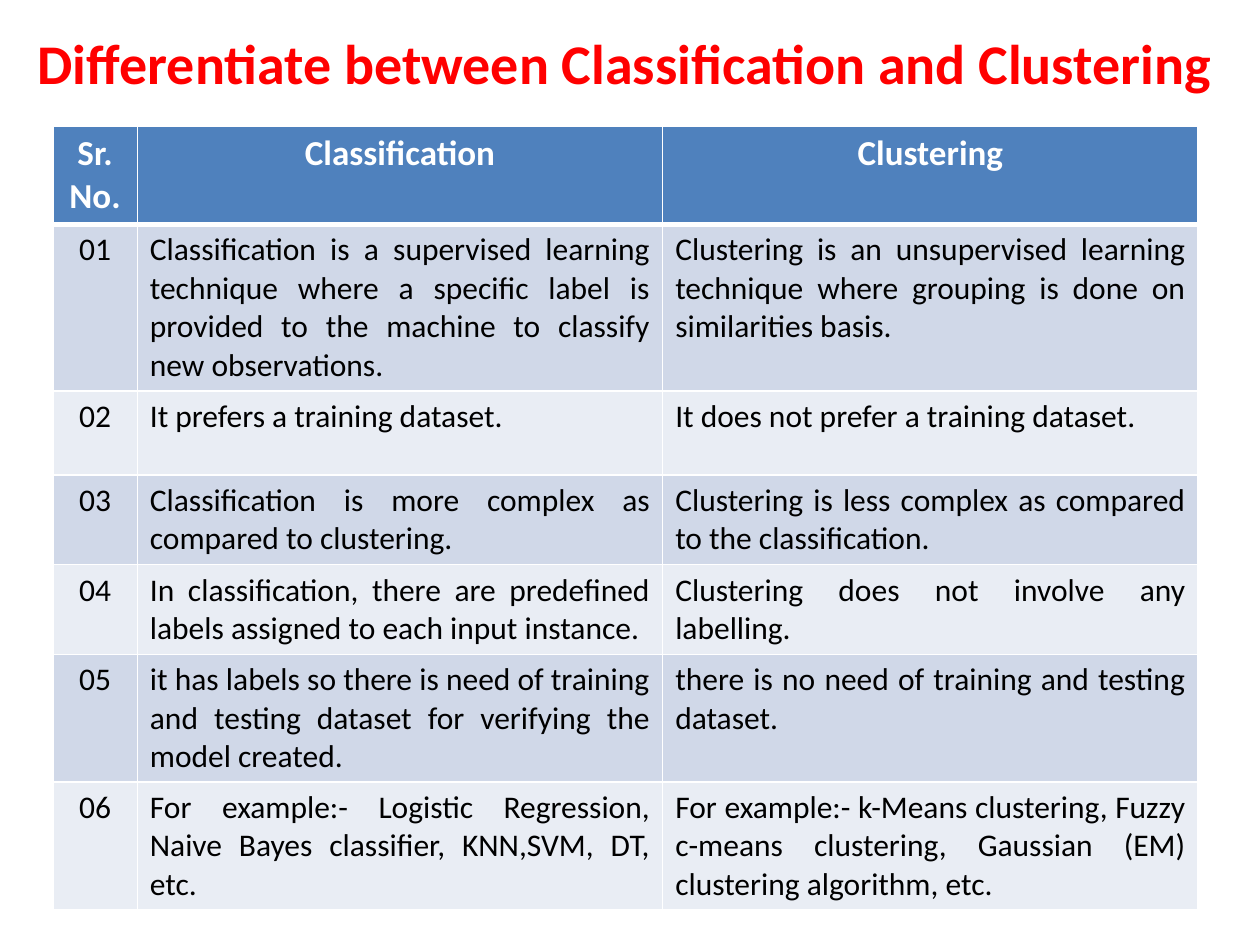
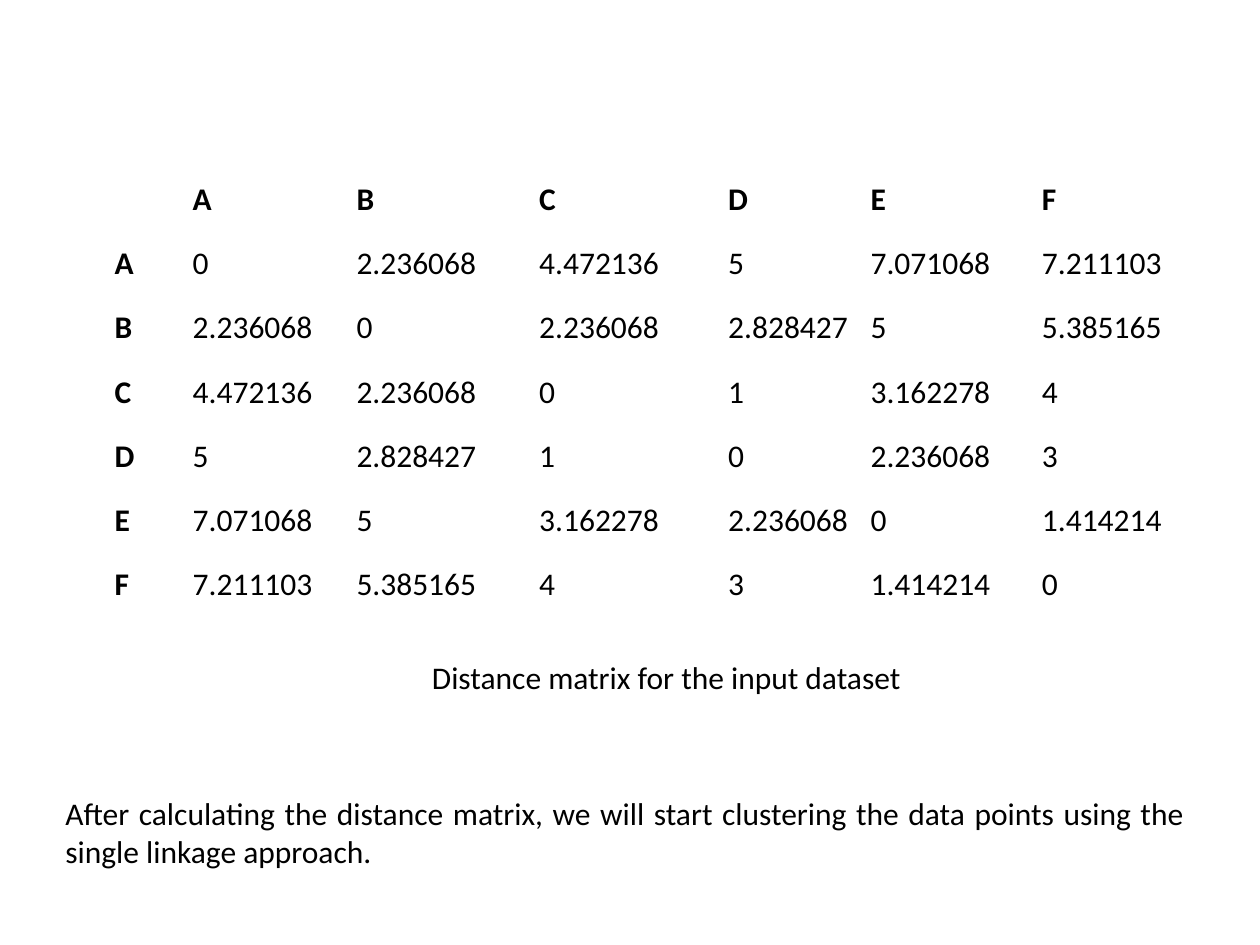
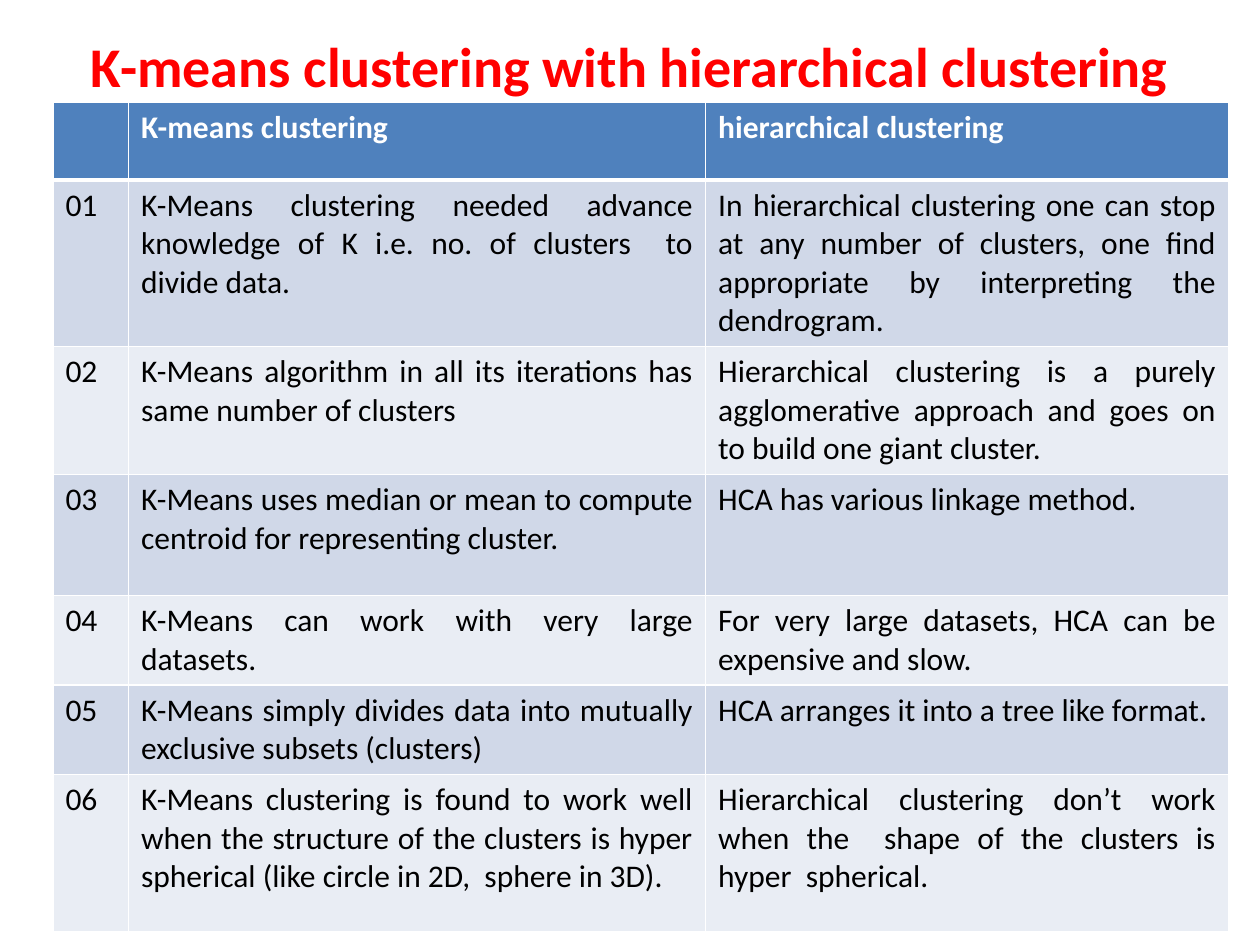
from lxml.etree import SubElement
from pptx import Presentation
from pptx.dml.color import RGBColor
from pptx.enum.text import MSO_ANCHOR as Anchor, MSO_AUTO_SIZE as AutoSize, PP_ALIGN as Align
from pptx.oxml.ns import qn
from pptx.util import Inches, Pt

RED = RGBColor(0xFF, 0x00, 0x00)
BLACK = RGBColor(0x00, 0x00, 0x00)
WHITE = RGBColor(0xFF, 0xFF, 0xFF)
HEADER_BLUE = RGBColor(0x4F, 0x81, 0xBD)
BAND_DARK = RGBColor(0xD0, 0xD8, 0xE8)
BAND_LIGHT = RGBColor(0xE9, 0xED, 0xF4)

CLASSIFICATION_ROWS = [
    ("Sr. No.", "Classification", "Clustering"),
    ("01",
     "Classification is a supervised learning technique where a specific label is provided "
     "to the machine to classify new observations.",
     "Clustering is an unsupervised learning technique where grouping is done on similarities basis."),
    ("02", "It prefers a training dataset.", "It does not prefer a training dataset."),
    ("03",
     "Classification is more complex as compared to clustering.",
     "Clustering is less complex as compared to the classification."),
    ("04",
     "In classification, there are predefined labels assigned to each input instance.",
     "Clustering does not involve any labelling."),
    ("05",
     "it has labels so there is need of training and testing dataset for verifying the model created.",
     "there is no need of training and testing dataset."),
    ("06",
     "For example:- Logistic Regression, Naive Bayes classifier, KNN,SVM, DT, etc.",
     "For example:- k-Means clustering, Fuzzy c-means clustering, Gaussian (EM) "
     "clustering algorithm, etc."),
]

POINTS = "ABCDEF"
DISTANCES = [
    ("0", "2.236068", "4.472136", "5", "7.071068", "7.211103"),
    ("2.236068", "0", "2.236068", "2.828427", "5", "5.385165"),
    ("4.472136", "2.236068", "0", "1", "3.162278", "4"),
    ("5", "2.828427", "1", "0", "2.236068", "3"),
    ("7.071068", "5", "3.162278", "2.236068", "0", "1.414214"),
    ("7.211103", "5.385165", "4", "3", "1.414214", "0"),
]

HIERARCHICAL_ROWS = [
    ("", "K-means clustering", "hierarchical clustering"),
    ("01",
     "K-Means clustering needed advance knowledge of K i.e. no. of clusters  to divide data.",
     "In hierarchical clustering one can stop at any number of clusters, one find appropriate "
     "by interpreting the dendrogram."),
    ("02",
     "K-Means algorithm in all its iterations has same number of clusters",
     "Hierarchical clustering is a purely agglomerative approach and goes on to build one giant cluster."),
    ("03",
     "K-Means uses median or mean to compute centroid for representing cluster.",
     "HCA has various linkage method."),
    ("04",
     "K-Means can work with very large datasets.",
     "For very large datasets, HCA can be expensive and slow."),
    ("05",
     "K-Means simply divides data into mutually exclusive subsets (clusters)",
     "HCA arranges it into a tree like format."),
    ("06",
     "K-Means clustering is found to work well when the structure of the clusters is hyper "
     "spherical (like circle in 2D,  sphere in 3D).",
     "Hierarchical clustering don’t work when the  shape of the clusters is hyper  spherical."),
]


class Deck:
    font = "Calibri"
    body_size = 18
    title_size = 32

    def __init__(self):
        self.presentation = Presentation()
        self.presentation.slide_width = Inches(10)
        self.presentation.slide_height = Inches(7.5)
        self.slide = None

    def new_slide(self):
        self.slide = self.presentation.slides.add_slide(self.presentation.slide_layouts[6])

    def set_text(self, frame, text, size=body_size, color=BLACK, bold=False, align=Align.LEFT):
        frame.text = text
        paragraph = frame.paragraphs[0]
        paragraph.alignment = align
        for run in paragraph.runs:
            run.font.name = self.font
            run.font.size = Pt(size)
            run.font.bold = bold
            run.font.color.rgb = color

    def text(self, content, left, top, width, height, wrap=True, **style):
        frame = self.slide.shapes.add_textbox(
            Inches(left), Inches(top), Inches(width), Inches(height)).text_frame
        frame.word_wrap = wrap
        frame.auto_size = AutoSize.NONE
        self.set_text(frame, content, **style)
        return frame

    def title(self, content, left, width, height):
        frame = self.text(content, left, 0.08, width, height, size=self.title_size,
                          color=RED, bold=True, align=Align.CENTER)
        frame.vertical_anchor = Anchor.MIDDLE

    def table(self, left, top, widths, heights):
        table = self.slide.shapes.add_table(
            len(heights), len(widths), Inches(left), Inches(top),
            Inches(sum(widths)), Inches(sum(heights))).table
        for column, width in zip(table.columns, widths):
            column.width = Inches(width)
        for row, height in zip(table.rows, heights):
            row.height = Inches(height)
        return table

    def fill(self, cell, color):
        cell.fill.solid()
        cell.fill.fore_color.rgb = color

    def borders(self, cell, row):
        properties = cell._tc.get_or_add_tcPr()
        points = {"L": 1, "R": 1, "T": 3 if row == 1 else 1, "B": 3 if row == 0 else 1}
        for side, width in points.items():
            line = SubElement(properties, qn(f"a:ln{side}"), w=str(Pt(width)))
            SubElement(SubElement(line, qn("a:solidFill")), qn("a:srgbClr"), val=str(WHITE))

    def comparison(self, rows, left, top, widths, heights, header_size, number_align):
        table = self.table(left, top, widths, heights)
        for r, row in enumerate(rows):
            for c, content in enumerate(row):
                cell = table.cell(r, c)
                self.borders(cell, r)
                if r == 0:
                    self.fill(cell, HEADER_BLUE)
                    self.set_text(cell.text_frame, content, header_size, WHITE, True, number_align)
                else:
                    self.fill(cell, BAND_DARK if r % 2 else BAND_LIGHT)
                    self.set_text(cell.text_frame, content,
                                  align=Align.JUSTIFY if c else number_align)

    def matrix(self, labels, values, left, top, widths, row_height):
        rows = [("", *labels)] + [(label, *row) for label, row in zip(labels, values)]
        table = self.table(left, top, widths, [row_height] * len(rows))
        for r, row in enumerate(rows):
            for c, content in enumerate(row):
                cell = table.cell(r, c)
                cell.vertical_anchor = Anchor.MIDDLE
                cell.margin_left = cell.margin_right = Inches(0.08)
                cell.margin_top = cell.margin_bottom = Inches(0.04)
                self.fill(cell, WHITE)
                self.set_text(cell.text_frame, content, bold=r == 0 or c == 0)


def main():
    deck = Deck()

    deck.new_slide()
    deck.title("Differentiate between Classification and Clustering", 0.17, 9.58, 0.83)
    deck.comparison(CLASSIFICATION_ROWS, 0.42, 1, [0.67, 4.17, 4.25],
                    [0.68, 1.26, 0.67, 0.68, 0.68, 0.97, 0.97], 20, Align.CENTER)

    deck.new_slide()
    deck.matrix(POINTS, DISTANCES, 0.83, 1.33, [0.62, 1.3, 1.45, 1.5, 1.13, 1.36, 1.23], 0.51)
    deck.text("Distance matrix for the input dataset", 3.33, 5.17, 3.97, 0.4, wrap=False)
    deck.text("After calculating the distance matrix, we will start clustering the data points "
              "using the single linkage approach.", 0.42, 6.25, 9.08, 0.71, align=Align.JUSTIFY)

    deck.new_slide()
    deck.title("K-means clustering with hierarchical clustering", 0.5, 9, 0.87)
    deck.comparison(HIERARCHICAL_ROWS, 0.42, 0.81, [0.6, 4.58, 4.15],
                    [0.62, 1.26, 0.97, 0.96, 0.68, 0.68, 1.25], 18, Align.LEFT)

    deck.presentation.save("out.pptx")


if __name__ == "__main__":
    main()
